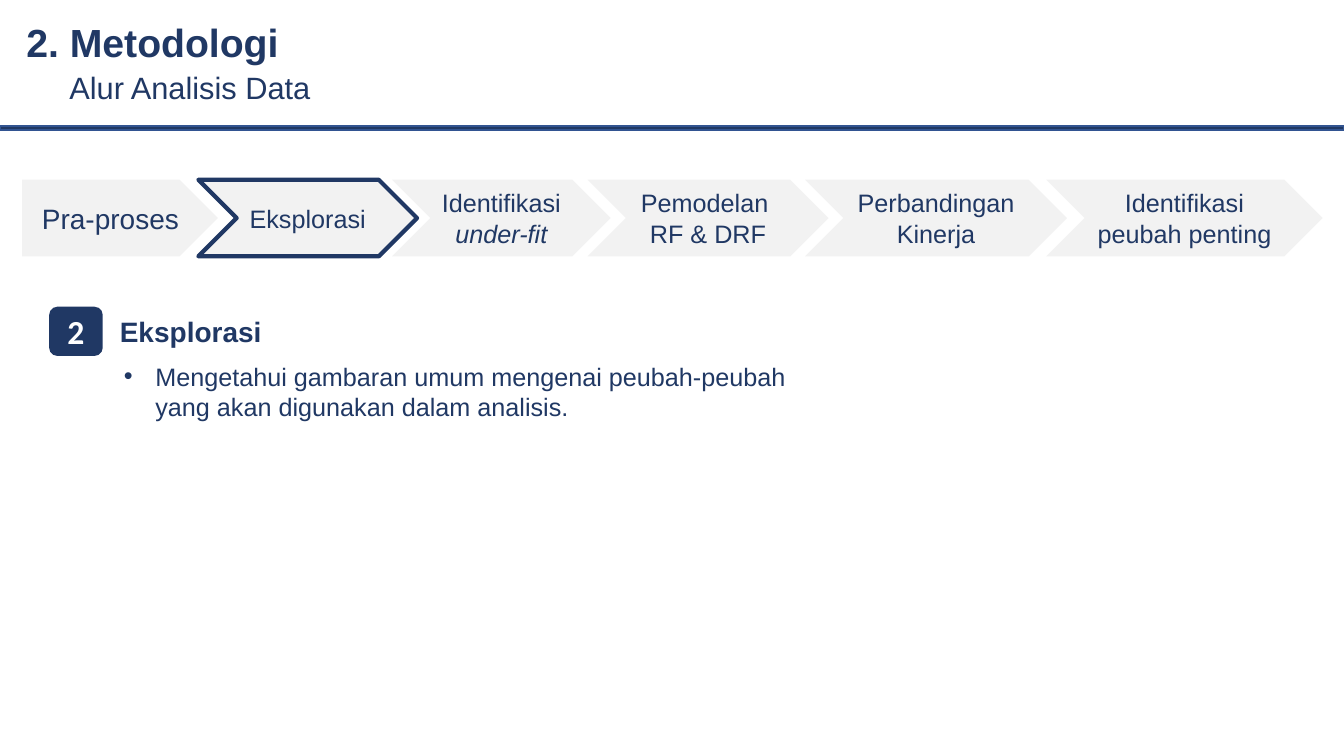
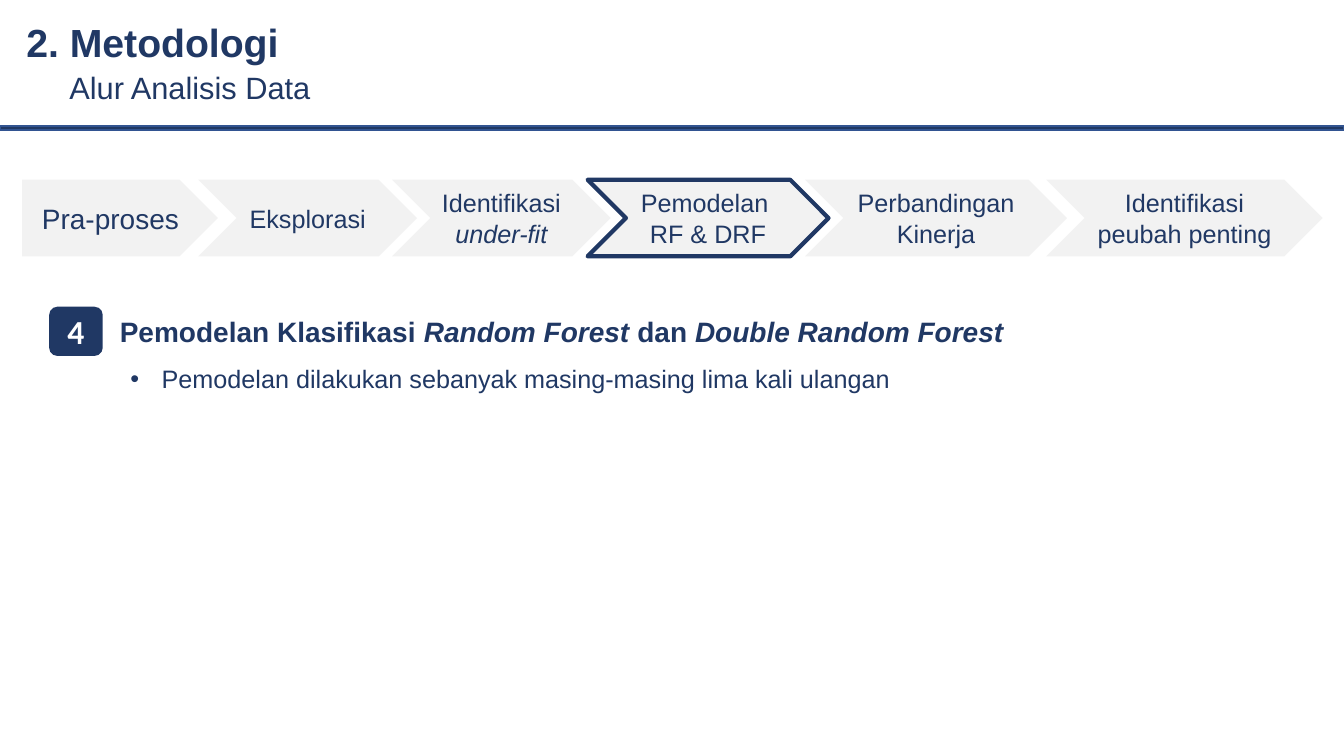
from pptx import Presentation
from pptx.dml.color import RGBColor
from pptx.enum.shapes import MSO_SHAPE as SHAPE
from pptx.enum.text import MSO_ANCHOR as ANCHOR, MSO_AUTO_SIZE as AUTO, PP_ALIGN as ALIGN
from pptx.util import Cm, Pt

# Each step: left, width, text size, paragraphs of (text, italic) runs
STEPS = [
    (0.56, 4.93, 20, [[("Pra-proses", False)]]),
    (5.0, 5.51, 18, [[("Eksplorasi", False)]]),
    (9.88, 5.51, 18, [[("Identifikasi ", False), ("under-fit", True)]]),
    (14.81, 6.07, 18, [[("Pemodelan ", False)], [("RF & DRF", False)]]),
    (20.29, 6.6, 18, [[("Perbandingan Kinerja", False)]]),
    (26.37, 6.96, 18, [[("Identifikasi peubah penting", False)]]),
]


def rgb(value):
    return RGBColor.from_string(value)


class Deck:
    NAVY, RULE_EDGE, GREY, WHITE = "203864", "325491", "F2F2F2", "FFFFFF"
    FONT, BADGE_FONT = "Arial", "Calibri"
    WIDTH, HEIGHT = 33.87, 19.05

    def __init__(self):
        self.prs = Presentation()
        self.prs.slide_width, self.prs.slide_height = Cm(self.WIDTH), Cm(self.HEIGHT)
        self.slide = None

    def add_runs(self, p, runs, size, bold=False, color=NAVY, font=FONT):
        """Add (text, italic) runs to a paragraph."""
        for text, italic in runs:
            r = p.add_run()
            r.text = text
            r.font.size, r.font.name = Pt(size), font
            r.font.bold, r.font.italic = bold, italic
            r.font.color.rgb = rgb(color)

    def shape(self, kind, box, fill, edge=None, edge_width=1):
        sp = self.slide.shapes.add_shape(kind, *map(Cm, box))
        sp.shadow.inherit = False
        sp.fill.solid()
        sp.fill.fore_color.rgb = rgb(fill)
        if edge:
            sp.line.color.rgb = rgb(edge)
            sp.line.width = Pt(edge_width)
        else:
            sp.line.fill.background()
        return sp

    def label(self, sp, paragraphs, size, **style):
        """Centre paragraphs inside a shape."""
        tf = sp.text_frame
        tf.word_wrap, tf.vertical_anchor = True, ANCHOR.MIDDLE
        for i, runs in enumerate(paragraphs):
            p = tf.add_paragraph() if i else tf.paragraphs[0]
            p.alignment = ALIGN.CENTER
            self.add_runs(p, runs, size, **style)

    def text(self, box, runs, size, bold=False):
        tf = self.slide.shapes.add_textbox(*map(Cm, box)).text_frame
        tf.word_wrap = True
        self.add_runs(tf.paragraphs[0], runs, size, bold)

    def placeholder(self, sp, box, anchor):
        """Move a placeholder and return its first paragraph, left-aligned."""
        sp.left, sp.top, sp.width, sp.height = map(Cm, box)
        tf = sp.text_frame
        tf.word_wrap, tf.auto_size, tf.vertical_anchor = True, AUTO.NONE, anchor
        p = tf.paragraphs[0]
        p.alignment, p.space_before = ALIGN.LEFT, Pt(0)
        return p

    def new_slide(self, title, subtitle):
        self.slide = self.prs.slides.add_slide(self.prs.slide_layouts[1])
        p = self.placeholder(self.slide.shapes.title, (0.41, 0.41, 8.25, 1.42), ANCHOR.MIDDLE)
        p.line_spacing = 0.9
        self.add_runs(p, [(title, False)], 28, bold=True)
        self.shape(SHAPE.RECTANGLE, (0, 3.18, self.WIDTH, 0.1), self.NAVY, self.RULE_EDGE)
        self.text((1.5, 1.6, 8.74, 1.19), [(subtitle, False)], 22)

    def process(self, current):
        """Draw the chain of steps and outline the current one."""
        for number, (left, width, size, paragraphs) in enumerate(STEPS, 1):
            kind = SHAPE.PENTAGON if number == 1 else SHAPE.CHEVRON
            edge = self.NAVY if number == current else None
            sp = self.shape(kind, (left, 4.53, width, 1.93), self.GREY, edge, 3)
            self.label(sp, paragraphs, size)

    def heading(self, number, runs):
        badge = self.shape(SHAPE.ROUNDED_RECTANGLE, (1.24, 7.73, 1.35, 1.24), self.NAVY)
        self.label(badge, [[(str(number), False)]], 24, bold=True,
                   color=self.WHITE, font=self.BADGE_FONT)
        self.text((2.77, 7.8, 23, 1.12), runs, 20, bold=True)

    def bullet(self, box, text):
        p = self.placeholder(self.slide.placeholders[1], box, ANCHOR.TOP)
        pPr = p._p.get_or_add_pPr()
        pPr.set("marL", str(Cm(0.79)))
        pPr.set("indent", str(Cm(-0.79)))
        self.add_runs(p, [(text, False)], 18)


def main():
    deck = Deck()
    pages = [
        (2, [("Eksplorasi", False)], (2.87, 8.97, 18, 1.8),
         "Mengetahui gambaran umum mengenai peubah-peubah yang akan digunakan dalam analisis."),
        (4, [("Pemodelan Klasifikasi ", False), ("Random Forest ", True),
             ("dan ", False), ("Double Random Forest", True)], (3.03, 9.04, 20.4, 1.02),
         "Pemodelan dilakukan sebanyak masing-masing lima kali ulangan"),
    ]
    for number, heading, box, text in pages:
        deck.new_slide("2. Metodologi", "Alur Analisis Data")
        deck.process(number)
        deck.heading(number, heading)
        deck.bullet(box, text)
    deck.prs.save("out.pptx")


if __name__ == "__main__":
    main()
